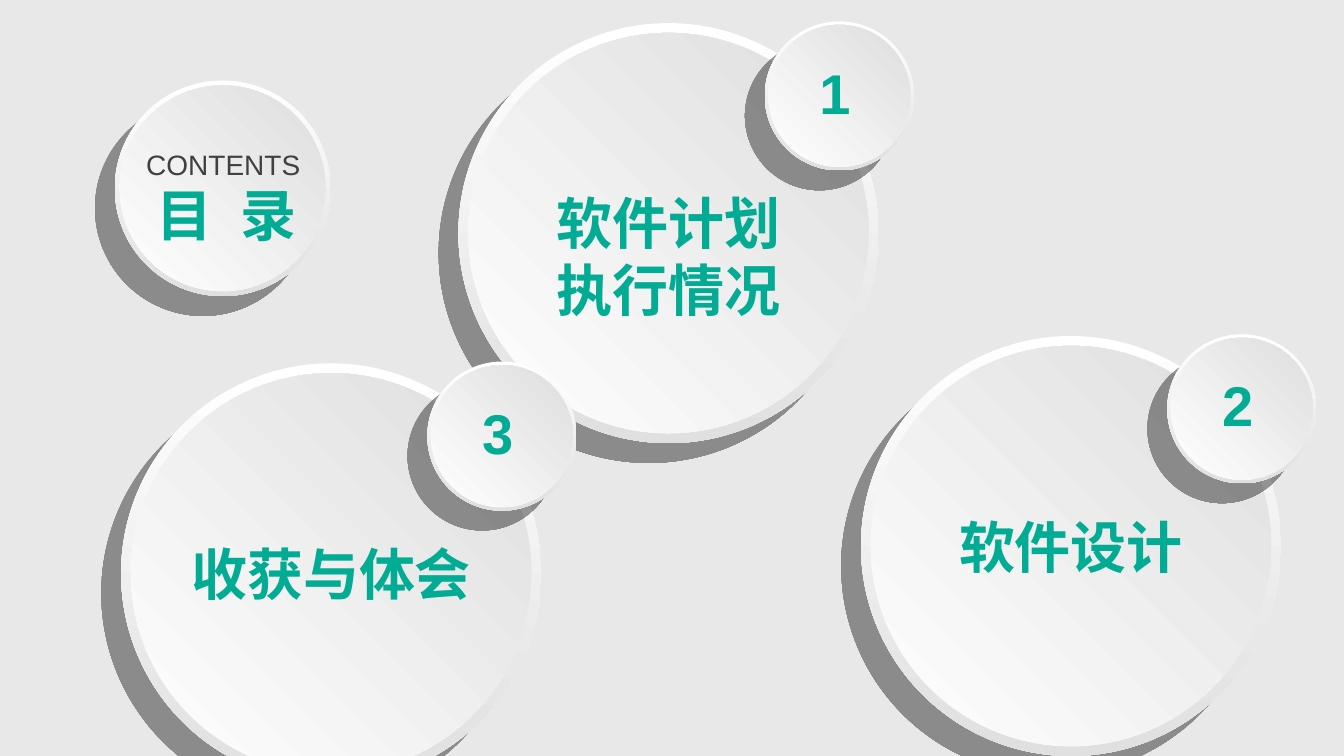
from lxml import etree
from pptx import Presentation
from pptx.dml.color import RGBColor
from pptx.enum import shapes, text
from pptx.oxml import ns
from pptx.util import Pt

COLORS = {
    "background": "E8E8E8",
    "highlight": "FFFFFF",
    "rim": "E0E0E0",
    "face": "DDDEDD",
    "shadow": "000000",
    "accent": "01AB94",
    "caption": "404040",
}
TITLE_SIZE = 40
CAPTION_SIZE = 20


def rgb(name):
    return RGBColor.from_string(COLORS[name])


def add_circle(s, cx, cy, diameter, end_color, angle):
    sp = s.shapes.add_shape(
        shapes.MSO_SHAPE.OVAL,
        Pt(cx - diameter / 2), Pt(cy - diameter / 2), Pt(diameter), Pt(diameter))
    sp.shadow.inherit = False
    sp.line.fill.background()
    sp.fill.gradient()
    sp.fill.gradient_angle = angle
    for stop, color, position in zip(
            sp.fill.gradient_stops, ("highlight", end_color), (0, 1)):
        stop.color.rgb = rgb(color)
        stop.position = position
    return sp


def add_shadow(sp):
    effects = sp.element.spPr.find(ns.qn("a:effectLst"))
    shadow = etree.SubElement(
        effects, ns.qn("a:outerShdw"), blurRad="0", dist=str(Pt(20)),
        dir=str(135 * 60000), algn="ctr", rotWithShape="0")
    color = etree.SubElement(shadow, ns.qn("a:srgbClr"), val=COLORS["shadow"])
    etree.SubElement(color, ns.qn("a:alpha"), val="40000")


def add_button(s, cx, cy, outer, inner):
    add_shadow(add_circle(s, cx, cy, outer, "rim", 270))
    add_circle(s, cx, cy, inner, "face", 45)


def add_label(s, cx, cy, width, label, size=TITLE_SIZE, color="accent", bold=True):
    height = size * 1.2 + 7.2
    tf = s.shapes.add_textbox(
        Pt(cx - width / 2), Pt(cy - height / 2), Pt(width), Pt(height)).text_frame
    tf.word_wrap = False
    tf.auto_size = text.MSO_AUTO_SIZE.SHAPE_TO_FIT_TEXT
    p = tf.paragraphs[0]
    p.alignment = text.PP_ALIGN.CENTER
    p.font.name = "Arial"
    p.font.size = Pt(size)
    p.font.bold = bold
    p.font.color.rgb = rgb(color)
    r = p.add_run()
    r.text = label
    return r


def add_heading(s, cx, cy):
    add_button(s, cx, cy, 154, 147)
    add_label(s, cx + 0.5, cy - 17, 125, "CONTENTS", CAPTION_SIZE, "caption", False)
    r = add_label(s, cx + 3, cy + 18.5, 140, "目 录")
    r.font._element.set("spc", "550")


def add_section(s, number, cx, cy, lines):
    add_button(s, cx, cy, 300, 286)
    add_button(s, cx + 122, cy - 98, 106.5, 101.5)
    add_label(s, cx + 119, cy - 101, 36.5, str(number))
    for label, offset in lines:
        add_label(s, cx, cy + offset, len(label) * TITLE_SIZE + 14.4, label)


def main():
    prs = Presentation()
    prs.slide_width, prs.slide_height = Pt(960), Pt(540)
    s = prs.slides.add_slide(prs.slide_layouts[6])
    s.background.fill.solid()
    s.background.fill.fore_color.rgb = rgb("background")

    add_section(s, 1, 477.5, 166.5, [("软件计划", -7.5), ("执行情况", 40)])
    add_heading(s, 159, 134.5)
    add_section(s, 2, 765, 390, [("软件设计", 0)])
    add_section(s, 3, 236.5, 409.5, [("收获与体会", 0)])
    prs.save("out.pptx")


if __name__ == "__main__":
    main()
